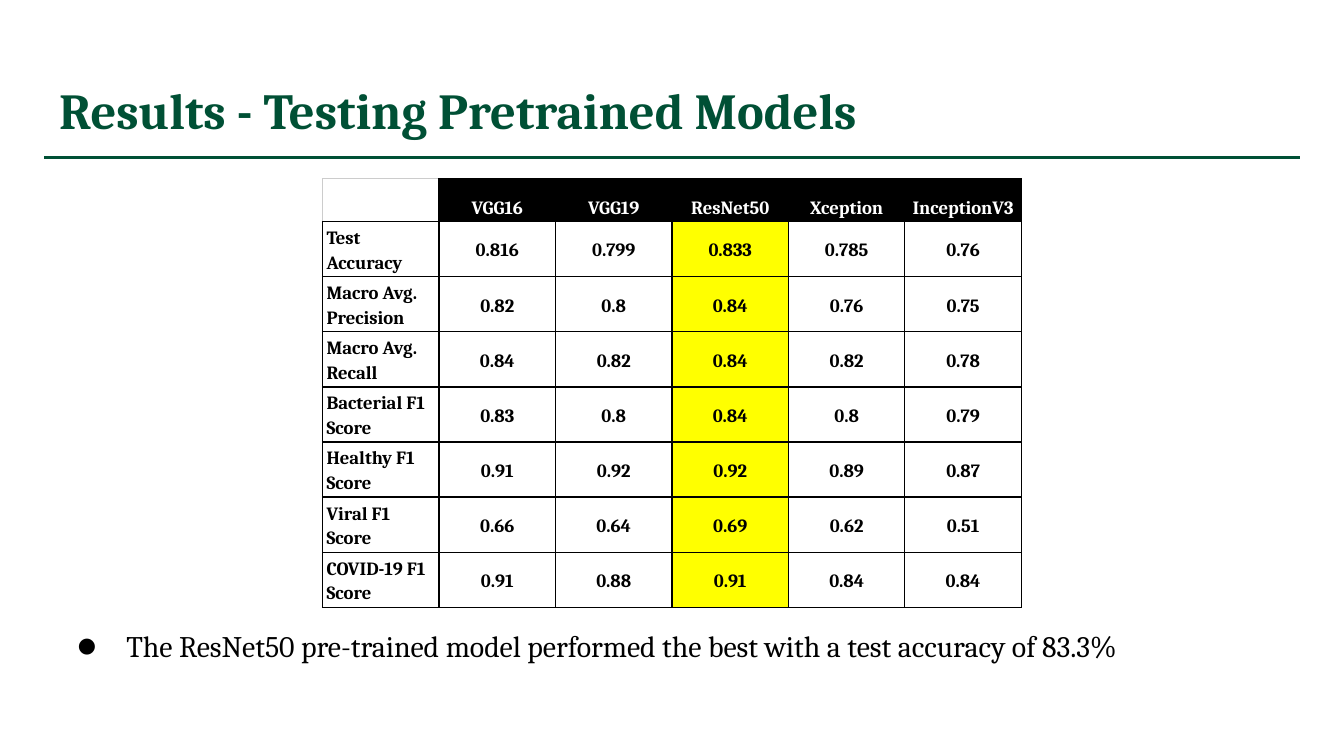
from dataclasses import dataclass

from lxml.etree import SubElement
from pptx import Presentation
from pptx.dml.color import RGBColor
from pptx.enum.shapes import MSO_CONNECTOR as Connector
from pptx.enum.text import MSO_ANCHOR as Anchor, MSO_AUTO_SIZE as AutoSize, PP_ALIGN as Align
from pptx.oxml.ns import qn
from pptx.util import Inches, Pt


@dataclass(frozen=True)
class Theme:
    font: str = "Cambria"
    bullet_font: str = "Cambria"
    heading: str = "005035"
    ink: str = "000000"
    paper: str = "FFFFFF"
    highlight: str = "FFFF00"
    faint: str = "CCCCCC"
    title_size: float = 27
    body_size: float = 16
    table_size: float = 10
    rule_width: float = 1.5
    border_width: float = 0.75


THEME = Theme()
MODELS = ["VGG16", "VGG19", "ResNet50", "Xception", "InceptionV3"]
BEST_MODEL = "ResNet50"
SCORES = {
    "Test Accuracy": [0.816, 0.799, 0.833, 0.785, 0.76],
    "Macro Avg. Precision": [0.82, 0.8, 0.84, 0.76, 0.75],
    "Macro Avg. Recall": [0.84, 0.82, 0.84, 0.82, 0.78],
    "Bacterial F1 Score": [0.83, 0.8, 0.84, 0.8, 0.79],
    "Healthy F1 Score": [0.91, 0.92, 0.92, 0.89, 0.87],
    "Viral F1 Score": [0.66, 0.64, 0.69, 0.62, 0.51],
    "COVID-19 F1 Score": [0.91, 0.88, 0.91, 0.84, 0.84],
}


def write(frame, text, size, color=THEME.ink, bold=False, align=Align.LEFT, spacing=1.15):
    paragraph = frame.paragraphs[0]
    paragraph.alignment = align
    paragraph.line_spacing = spacing
    paragraph.space_before = paragraph.space_after = Pt(0)
    run = paragraph.add_run()
    run.text = text
    run.font.name = THEME.font
    run.font.size = Pt(size)
    run.font.bold = bold
    run.font.color.rgb = RGBColor.from_string(color)
    return paragraph


def place(placeholder, box):
    placeholder.left, placeholder.top, placeholder.width, placeholder.height = map(Inches, box)
    frame = placeholder.text_frame
    frame.word_wrap = True
    frame.auto_size = AutoSize.NONE
    frame.vertical_anchor = Anchor.TOP
    frame.margin_left = frame.margin_right = Inches(0.1)
    frame.margin_top = frame.margin_bottom = Inches(0.1)
    return frame


def add_heading(slide, box, text):
    left, top, width, height = box
    frame = place(slide.shapes.title, box)
    write(frame, text, THEME.title_size, THEME.heading, bold=True, spacing=1.0)
    rule_y = Inches(top + height)
    rule = slide.shapes.add_connector(
        Connector.STRAIGHT, Inches(left - 0.01), rule_y, Inches(left + width + 0.01), rule_y)
    rule.line.color.rgb = RGBColor.from_string(THEME.heading)
    rule.line.width = Pt(THEME.rule_width)
    SubElement(rule._element.spPr, qn("a:effectLst"))


def add_borders(cell, colors):
    properties = cell._tc.get_or_add_tcPr()
    for side, color in zip("LRTB", colors):
        border = SubElement(properties, qn(f"a:ln{side}"), w=str(Pt(THEME.border_width)))
        SubElement(SubElement(border, qn("a:solidFill")), qn("a:srgbClr"), val=color)


def fill_cell(cell, text, fill=None, borders=(THEME.ink,) * 4, color=THEME.ink,
              anchor=Anchor.MIDDLE, align=Align.CENTER):
    cell.margin_left = cell.margin_right = Inches(0.03)
    cell.margin_top = cell.margin_bottom = Inches(0.02)
    cell.vertical_anchor = anchor
    write(cell.text_frame, text, THEME.table_size, color, bold=True, align=align)
    add_borders(cell, borders)
    if fill:
        cell.fill.solid()
        cell.fill.fore_color.rgb = RGBColor.from_string(fill)
    else:
        cell.fill.background()


def add_scores(slide, box, header_height=0.32):
    left, top, width, height = box
    table = slide.shapes.add_table(
        len(SCORES) + 1, len(MODELS) + 1, *map(Inches, box)).table
    table.first_row = table.horz_banding = False
    for column in table.columns:
        column.width = Inches(width / len(table.columns))
    for index, row in enumerate(table.rows):
        row.height = Inches((height - header_height) / len(SCORES) if index else header_height)

    fill_cell(table.cell(0, 0), "", borders=(THEME.faint, THEME.ink, THEME.faint, THEME.ink))
    for column, model in enumerate(MODELS, 1):
        fill_cell(table.cell(0, column), model, fill=THEME.ink, color=THEME.paper,
                  anchor=Anchor.BOTTOM)
    for row, (metric, scores) in enumerate(SCORES.items(), 1):
        fill_cell(table.cell(row, 0), metric, anchor=Anchor.BOTTOM, align=Align.LEFT)
        for column, (model, score) in enumerate(zip(MODELS, scores), 1):
            fill_cell(table.cell(row, column), str(score),
                      fill=THEME.highlight if model == BEST_MODEL else None)


def add_finding(slide, box, text):
    frame = place(slide.placeholders[1], box)
    properties = write(frame, text, THEME.body_size)._p.get_or_add_pPr()
    properties.set("marL", str(Inches(0.5)))
    properties.set("indent", str(Inches(-0.36)))
    bullet_color = SubElement(properties, qn("a:buClr"))
    SubElement(bullet_color, qn("a:srgbClr"), val=THEME.ink)
    SubElement(properties, qn("a:buSzPct"), val="70000")
    SubElement(properties, qn("a:buFont"), typeface=THEME.bullet_font)
    SubElement(properties, qn("a:buChar"), char="●")


def main():
    deck = Presentation()
    deck.slide_width = Inches(10)
    deck.slide_height = deck.slide_width * 9 // 16
    slide = deck.slides.add_slide(deck.slide_layouts[1])
    add_heading(slide, (0.34, 0.49, 9.32, 0.68), "Results - Testing Pretrained Models")
    add_scores(slide, (2.4, 1.33, 5.2, 3.19))
    add_finding(slide, (0.34, 4.53, 9.32, 0.77),
                "The ResNet50 pre-trained model performed the best with a test accuracy of 83.3%")
    deck.save("out.pptx")


if __name__ == "__main__":
    main()
